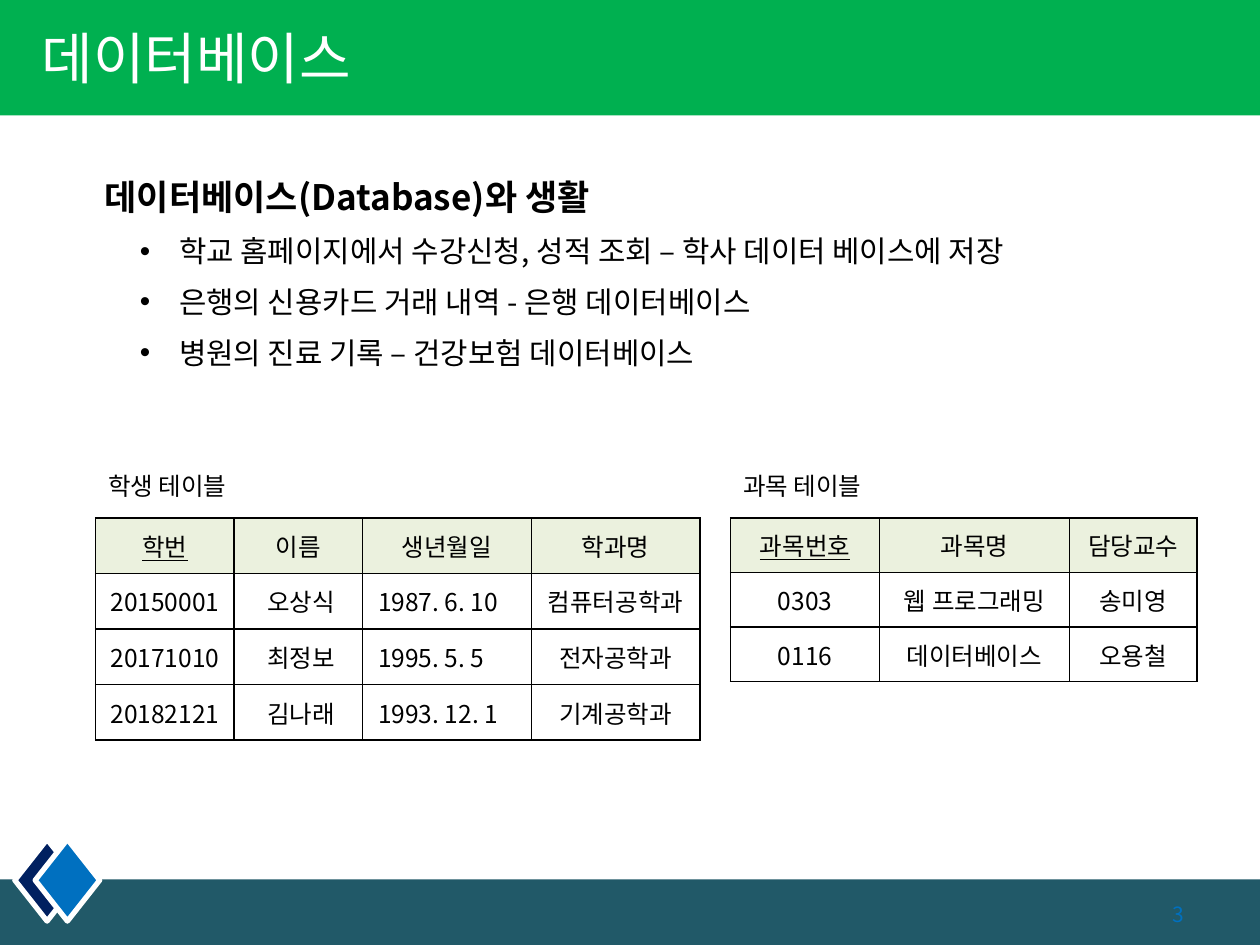
from lxml.etree import SubElement
from pptx import Presentation
from pptx.dml.color import RGBColor as RGB
from pptx.enum.shapes import MSO_SHAPE as SHAPE
from pptx.enum.text import MSO_ANCHOR as ANCHOR, PP_ALIGN as ALIGN
from pptx.oxml.ns import qn
from pptx.util import Cm, Pt

# Content
TITLE = "데이터베이스"
HEADING = "데이터베이스(Database)와 생활"
EXAMPLES = [
    "학교 홈페이지에서 수강신청, 성적 조회 – 학사 데이터 베이스에 저장",
    "은행의 신용카드 거래 내역 - 은행 데이터베이스",
    "병원의 진료 기록 – 건강보험 데이터베이스",
]
PAGE = "3"
# The first column of each table is its underlined key; "indents" and
# "left_columns" refer to the data rows only.
TABLES = [
    dict(caption="학생 테이블", left=1.93, widths=[2.79, 2.59, 3.4, 3.4],
         row_height=1.12, indents={1: 0.31, 2: 0.31}, left_columns={2},
         rows=[["학번", "이름", "생년월일", "학과명"],
               ["20150001", "오상식", "1987. 6. 10", "컴퓨터공학과"],
               ["20171010", "최정보", "1995. 5. 5", "전자공학과"],
               ["20182121", "김나래", "1993. 12. 1", "기계공학과"]]),
    dict(caption="과목 테이블", left=14.73, widths=[3, 3.83, 2.57],
         row_height=1.1, indents={}, left_columns=set(),
         rows=[["과목번호", "과목명", "담당교수"],
               ["0303", "웹 프로그래밍", "송미영"],
               ["0116", "데이터베이스", "오용철"]]),
]

THEME = dict(
    font="Noto Sans CJK KR",
    white="FFFFFF", ink="000000", banner="00B050", footer="215968",
    navy="002060", blue="0070C0", header="EBF1DE",
    title_size=32, heading_size=20, example_size=17, table_size=14, page_size=12,
)
WIDTH, HEIGHT = 25.4, 19.05
CAPTION_TOP, TABLE_TOP = 9.37, 10.44


def color(name):
    return RGB.from_string(THEME[name])


def apply(target, formats):
    for name, value in formats.items():
        setattr(target, name, value)


def write(paragraph, text, size, ink="ink", **formats):
    run = paragraph.add_run()
    run.text = text
    apply(run.font, dict(name=THEME["font"], size=Pt(THEME[size]), **formats))
    run.font.color.rgb = color(ink)
    SubElement(run.font._element, qn("a:ea"), typeface=THEME["font"])


def add_block(slide, preset, box, fill, outline=None):
    block = slide.shapes.add_shape(preset, *map(Cm, box))
    block.shadow.inherit = False
    block.fill.solid()
    block.fill.fore_color.rgb = color(fill)
    if outline:
        block.line.color.rgb = color(outline)
        block.line.width = Pt(3)
    else:
        block.line.fill.background()


def add_text(slide, box, **formats):
    frame = slide.shapes.add_textbox(*map(Cm, box)).text_frame
    apply(frame, dict(word_wrap=True, **formats))
    return frame


def add_bullet(paragraph):
    properties = paragraph._p.get_or_add_pPr()
    properties.set("marL", str(Cm(2.06)))
    properties.set("indent", str(Cm(-0.79)))
    SubElement(properties, qn("a:buFont"), typeface="Arial")
    SubElement(properties, qn("a:buChar"), char="•")


def add_borders(cell):
    properties = cell._tc.get_or_add_tcPr()
    for side in ("lnL", "lnR", "lnT", "lnB"):
        line = SubElement(properties, qn(f"a:{side}"), w=str(Pt(1)))
        fill = SubElement(line, qn("a:solidFill"))
        SubElement(fill, qn("a:srgbClr"), val=THEME["ink"])


def add_data_table(slide, caption, left, widths, row_height, indents,
                   left_columns, rows):
    label = add_text(slide, (left, CAPTION_TOP, 3.81, 0.86))
    write(label.paragraphs[0], caption, "table_size")

    table = slide.shapes.add_table(
        len(rows), len(widths), Cm(left), Cm(TABLE_TOP),
        Cm(sum(widths)), Cm(row_height * len(rows))).table
    for column, width in zip(table.columns, widths):
        column.width = Cm(width)
    for r, row in enumerate(rows):
        table.rows[r].height = Cm(row_height)
        is_header = r == 0
        for c, text in enumerate(row):
            cell = table.cell(r, c)
            indent = 0.2 if is_header else indents.get(c, 0.2)
            apply(cell, dict(vertical_anchor=ANCHOR.MIDDLE,
                             margin_left=Cm(indent), margin_right=Cm(0.2),
                             margin_top=Cm(0.1), margin_bottom=Cm(0.1)))
            add_borders(cell)
            if is_header:
                cell.fill.solid()
                cell.fill.fore_color.rgb = color("header")
            else:
                cell.fill.background()
            paragraph = cell.text_frame.paragraphs[0]
            flush_left = not is_header and c in left_columns
            paragraph.alignment = ALIGN.LEFT if flush_left else ALIGN.CENTER
            write(paragraph, text, "table_size", underline=is_header and c == 0)


def main():
    deck = Presentation()
    apply(deck, dict(slide_width=Cm(WIDTH), slide_height=Cm(HEIGHT)))
    slide = deck.slides.add_slide(deck.slide_layouts[6])

    # Footer band, diamonds and title banner
    add_block(slide, SHAPE.RECTANGLE, (0, 17.73, WIDTH, 1.32), "footer")
    for left, fill in ((0.3, "navy"), (0.71, "blue")):
        add_block(slide, SHAPE.DIAMOND, (left, 16.92, 1.3, 1.65), fill, "white")
    add_block(slide, SHAPE.RECTANGLE, (0, 0, WIDTH, 2.33), "banner")

    # Title and page number
    title = add_text(slide, (0, -0.05, 20.3, 2.39), margin_left=Cm(0.84),
                     vertical_anchor=ANCHOR.MIDDLE)
    write(title.paragraphs[0], TITLE, "title_size", "white")
    page = add_text(slide, (18.2, 17.92, 5.93, 1.02), vertical_anchor=ANCHOR.MIDDLE)
    page.paragraphs[0].alignment = ALIGN.RIGHT
    write(page.paragraphs[0], PAGE, "page_size", "blue")

    # Heading with everyday examples
    body = add_text(slide, (1.3, 3.25, 23.8, 5.66))
    heading = body.paragraphs[0]
    heading.line_spacing = 1.2
    heading._p.get_or_add_pPr().set("marL", str(Cm(0.56)))
    write(heading, HEADING, "heading_size", bold=True)
    for example in EXAMPLES:
        paragraph = body.add_paragraph()
        add_bullet(paragraph)
        apply(paragraph, dict(line_spacing=1.2, space_before=Pt(4.5)))
        write(paragraph, example, "example_size")

    # Student and course tables
    for data in TABLES:
        add_data_table(slide, **data)

    deck.save("out.pptx")


if __name__ == "__main__":
    main()
